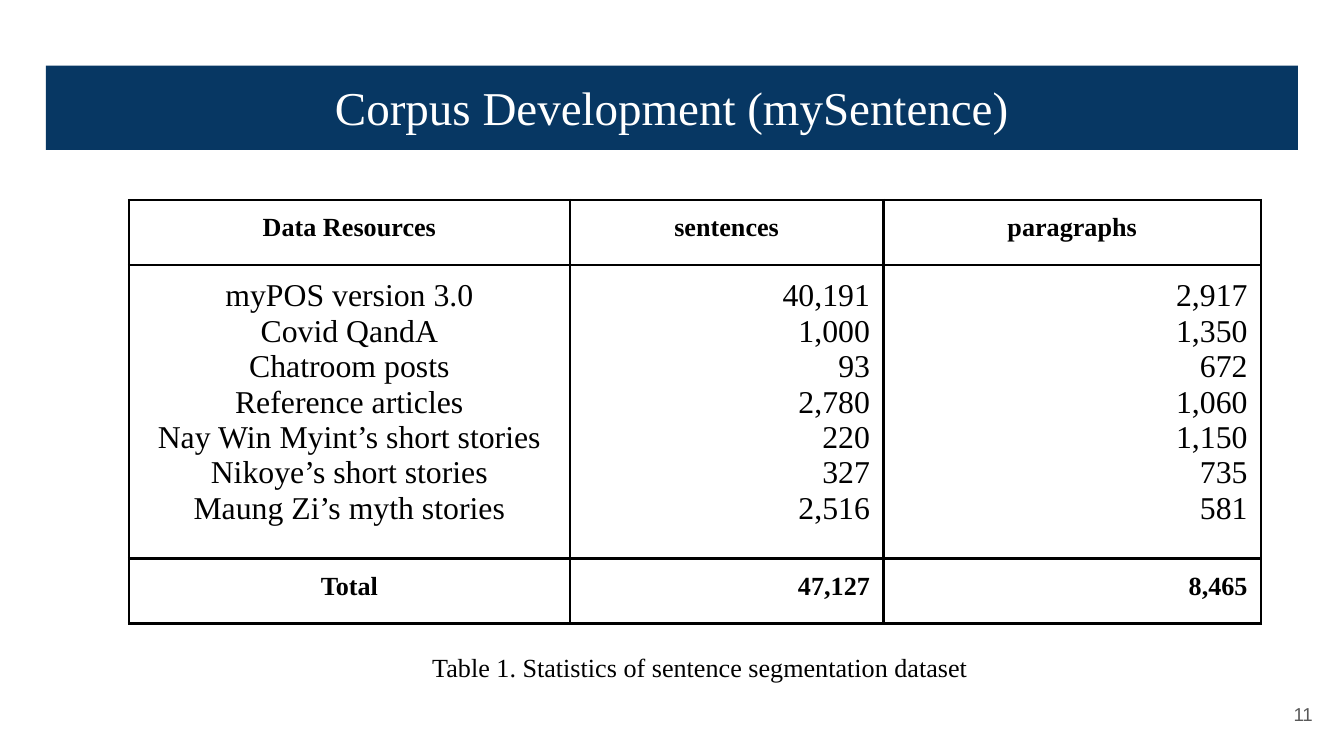
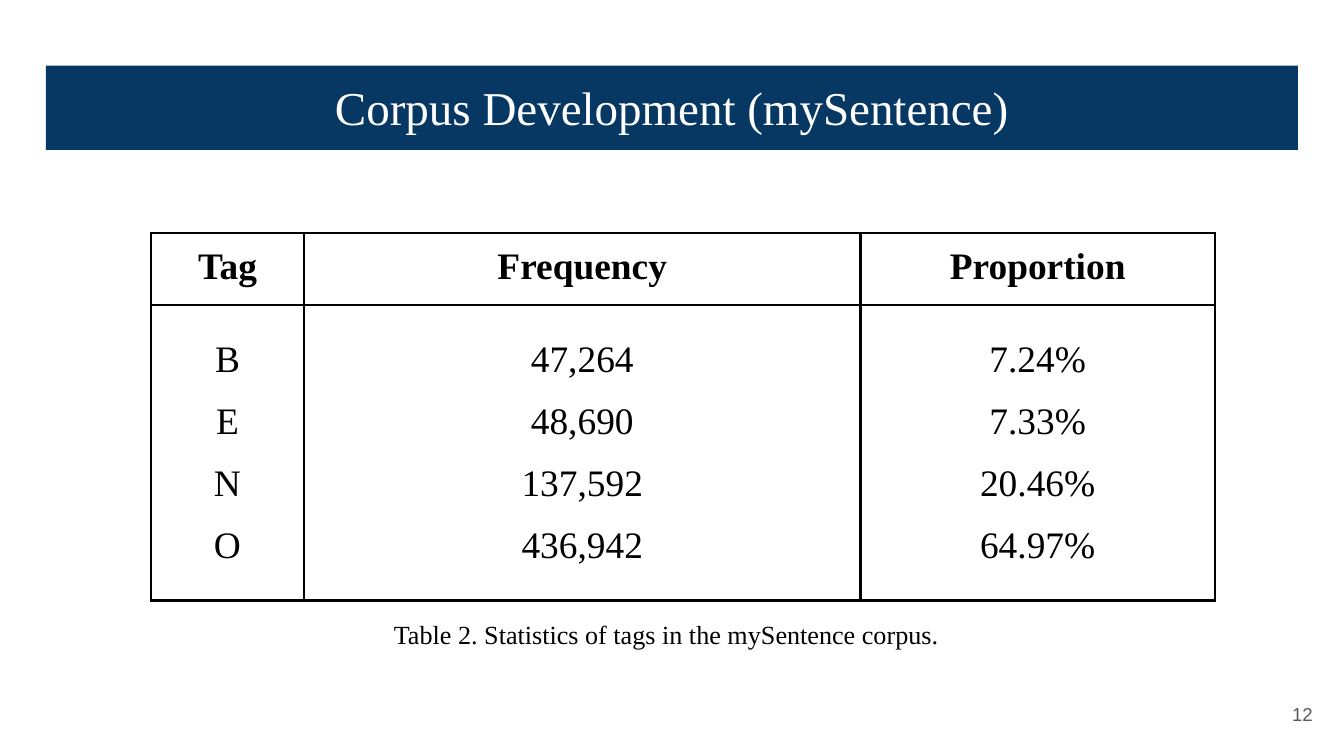
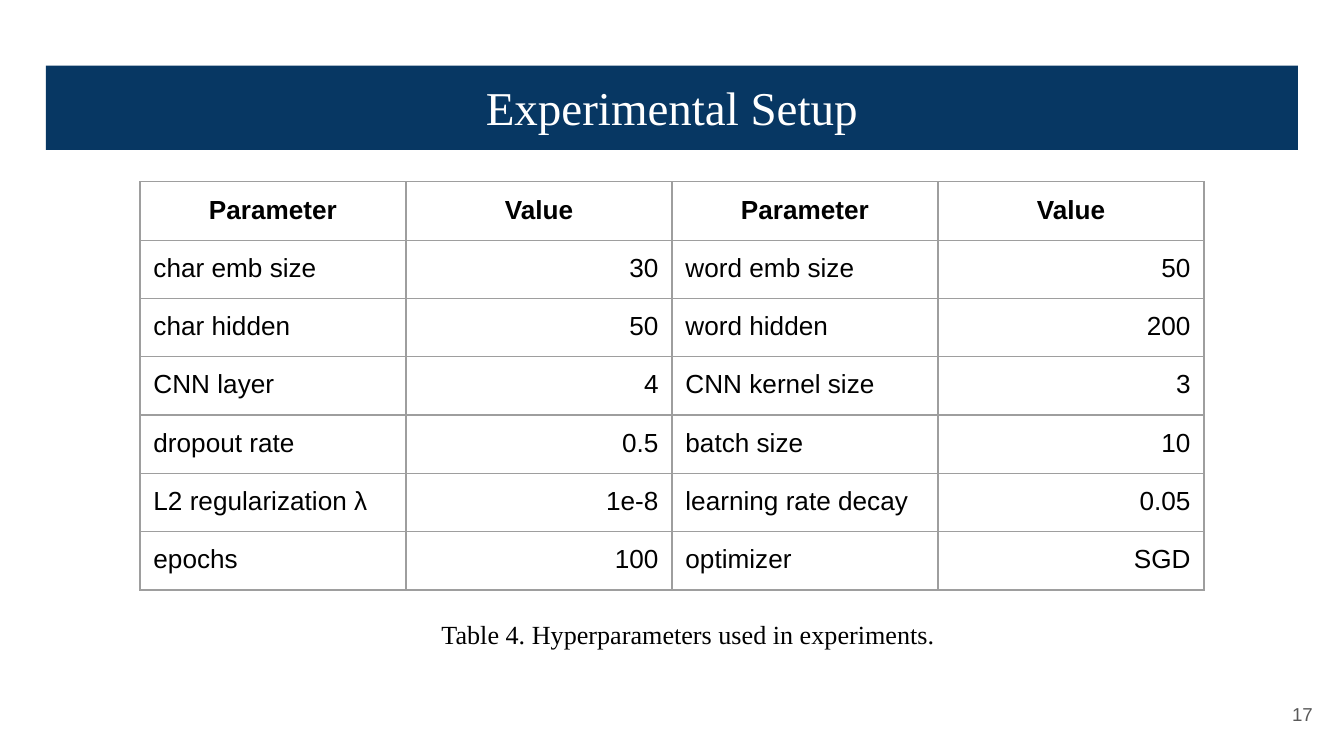
from pptx import Presentation
from pptx.dml.color import RGBColor
from pptx.enum.shapes import MSO_SHAPE
from pptx.enum.text import MSO_ANCHOR, PP_ALIGN
from pptx.oxml.ns import qn
from pptx.util import Pt
from lxml.etree import SubElement

# Shared look
NAVY, WHITE, BLACK = "073763", "FFFFFF", "000000"
GREY, RULE = "595959", "9E9E9E"
SERIF, SANS = "Times New Roman", "Arial"
INSET = Pt(7.2)
ALIGN = {"l": PP_ALIGN.LEFT, "c": PP_ALIGN.CENTER, "r": PP_ALIGN.RIGHT}


def color(code):
    return RGBColor.from_string(code)


def write(frame, text, size, font=SERIF, ink=BLACK, align="c",
          bold=False, space=None):
    """Fill a text frame, one paragraph for each line of text."""
    for i, line in enumerate(text.split("\n")):
        para = frame.paragraphs[0] if i == 0 else frame.add_paragraph()
        para.alignment = ALIGN[align]
        if space:
            para.line_spacing = space
        run = para.add_run()
        run.text = line
        run.font.size = Pt(size)
        run.font.name = font
        run.font.bold = bold
        run.font.color.rgb = color(ink)


def pad(item):
    """Give a text frame or a table cell equal insets."""
    item.margin_left = item.margin_right = INSET
    item.margin_top = item.margin_bottom = INSET


def add_text(slide, left, top, width, height, text, size,
             anchor=MSO_ANCHOR.TOP, **style):
    box = slide.shapes.add_textbox(Pt(left), Pt(top), Pt(width), Pt(height))
    frame = box.text_frame
    frame.word_wrap = True
    frame.vertical_anchor = anchor
    pad(frame)
    write(frame, text, size, **style)


def add_band(slide, text):
    band = slide.shapes.add_shape(
        MSO_SHAPE.RECTANGLE, Pt(24.6), Pt(35.1), Pt(670.8), Pt(45.2))
    band.shadow.inherit = False
    band.fill.solid()
    band.fill.fore_color.rgb = color(NAVY)
    band.line.fill.background()
    frame = band.text_frame
    frame.word_wrap = True
    frame.vertical_anchor = MSO_ANCHOR.TOP
    pad(frame)
    write(frame, text, 25.2, ink=WHITE)


def add_edges(cell, ink, weight):
    props = cell._tc.get_or_add_tcPr()
    for side in ("a:lnL", "a:lnR", "a:lnT", "a:lnB"):
        line = SubElement(props, qn(side), w=str(Pt(weight)))
        fill = SubElement(line, qn("a:solidFill"))
        SubElement(fill, qn("a:srgbClr"), val=ink)


def add_grid(slide, left, top, cols, highs, rows, aligns, heavy=(0,),
             sizes=(14, 14), font=SERIF, edge=(BLACK, 1.5), space=None):
    """Draw a table; heavy rows are bold and use the first of the sizes."""
    grid = slide.shapes.add_table(
        len(rows), len(cols), Pt(left), Pt(top),
        Pt(sum(cols)), Pt(sum(highs))).table
    grid.first_row = grid.horz_banding = False
    for col, width in zip(grid.columns, cols):
        col.width = Pt(width)
    for row, high in zip(grid.rows, highs):
        row.height = Pt(high)
    for i, row in enumerate(rows):
        bold = i in heavy
        for j, text in enumerate(row):
            cell = grid.cell(i, j)
            pad(cell)
            add_edges(cell, *edge)
            cell.fill.background()
            write(cell.text_frame, text, sizes[0] if bold else sizes[1],
                  font=font, align=aligns[j] if i else "c", bold=bold,
                  space=None if bold else space)


def add_page(deck, title, number, note, left, top):
    """Start a slide with its band, table caption and page number."""
    slide = deck.slides.add_slide(deck.slide_layouts[6])
    add_band(slide, title)
    add_text(slide, left, top, 401.8, 31.7, note, 14)
    add_text(slide, 667.2, 367.2, 43.2, 31, number, 10, MSO_ANCHOR.MIDDLE,
             font=SANS, ink=GREY, align="r")
    return slide


def stack(rows):
    """Join records into one table row, a line for each record."""
    return ["\n".join(col) for col in zip(*rows)]


def add_sources(deck):
    slide = add_page(deck, "Corpus Development (mySentence)", "11",
                     "Table 1. Statistics of sentence segmentation dataset",
                     174.2, 342)
    data = [
        ("myPOS version 3.0", "40,191", "2,917"),
        ("Covid QandA", "1,000", "1,350"),
        ("Chatroom posts", "93", "672"),
        ("Reference articles", "2,780", "1,060"),
        ("Nay Win Myint’s short stories", "220", "1,150"),
        ("Nikoye’s short stories", "327", "735"),
        ("Maung Zi’s myth stories", "2,516", "581"),
    ]
    rows = [("Data Resources", "sentences", "paragraphs"), stack(data),
            ("Total", "47,127", "8,465")]
    add_grid(slide, 69.1, 107.2, (236.2, 168, 202.3), (34.8, 157, 34.8),
             rows, "crr", heavy=(0, 2), sizes=(14, 17))


def add_tags(deck):
    slide = add_page(deck, "Corpus Development (mySentence)", "12",
                     "Table 2. Statistics of tags in the mySentence corpus.",
                     156.2, 324)
    data = [
        ("B", "47,264", "7.24%"),
        ("E", "48,690", "7.33%"),
        ("N", "137,592", "20.46%"),
        ("O", "436,942", "64.97%"),
    ]
    rows = [("Tag", "Frequency", "Proportion"), stack(data)]
    add_grid(slide, 80.8, 124.8, (82.2, 298, 190), (36.4, 147.3),
             rows, "ccc", sizes=(20, 20), space=1.5)


def add_setup(deck):
    slide = add_page(deck, "Experimental Setup", "17",
                     "Table 4. Hyperparameters used in experiments.",
                     167.8, 324)
    rows = [
        ("Parameter", "Value") * 2,
        ("char emb size", "30", "word emb size", "50"),
        ("char hidden", "50", "word hidden", "200"),
        ("CNN layer", "4", "CNN kernel size", "3"),
        ("dropout rate", "0.5", "batch size", "10"),
        ("L2 regularization λ", "1e-8", "learning rate decay", "0.05"),
        ("epochs", "100", "optimizer", "SGD"),
    ]
    add_grid(slide, 75, 97.4, [142.5] * 4, [31.2] * len(rows),
             rows, "lrlr", font=SANS, edge=(RULE, 0.75))


def main():
    deck = Presentation()
    deck.slide_width, deck.slide_height = Pt(720), Pt(405)
    add_sources(deck)
    add_tags(deck)
    add_setup(deck)
    deck.save("out.pptx")


main()
